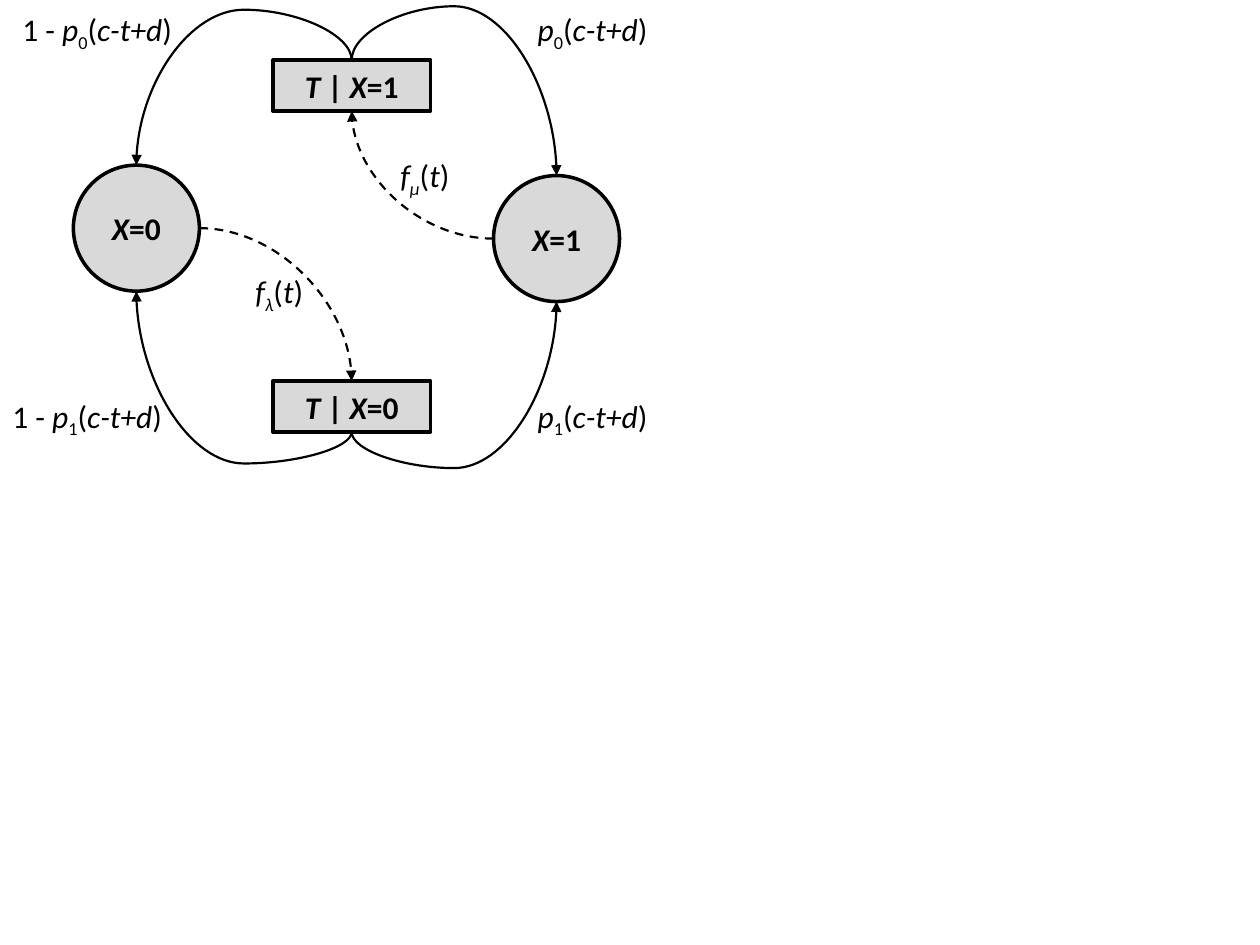
from lxml.etree import SubElement
from pptx import Presentation
from pptx.dml.color import RGBColor
from pptx.enum.dml import MSO_LINE
from pptx.enum.shapes import MSO_CONNECTOR, MSO_SHAPE
from pptx.enum.text import MSO_ANCHOR, PP_ALIGN
from pptx.oxml.ns import qn
from pptx.util import Cm, Pt

BLACK = RGBColor(0x00, 0x00, 0x00)
GREY = RGBColor(0xD9, 0xD9, 0xD9)
TOP, LEFT, BOTTOM, RIGHT = range(4)


def write_formula(tf, runs, bold=None):
    """Write (text, style) runs; in a style, i is italic and s is subscript."""
    for text, style in runs:
        r = tf.paragraphs[0].add_run()
        r.text = text
        r.font.name = "Calibri"
        r.font.size = Pt(18)
        r.font.bold = bold
        r.font.italic = "i" in style
        r.font.color.rgb = BLACK
        if "s" in style:
            r._r.get_or_add_rPr().set("baseline", "-25000")


prs = Presentation()
prs.slide_width, prs.slide_height = Cm(25.4), Cm(19.05)
s = prs.slides.add_slide(prs.slide_layouts[6])

# States (circles) and waiting times (boxes)
X = ("X", "i")
T_GIVEN_X = [("T ", "i"), ("| ", ""), X]
nodes = {}
for name, kind, x, y, w, h, runs in [
    ("X0", MSO_SHAPE.OVAL, 1.48, 3.33, 2.54, 2.54, [X, ("=0", "")]),
    ("X1", MSO_SHAPE.OVAL, 9.95, 3.54, 2.54, 2.54, [X, ("=1", "")]),
    ("T1", MSO_SHAPE.RECTANGLE, 5.5, 1.21, 3.18, 1.03, T_GIVEN_X + [("=1", "")]),
    ("T0", MSO_SHAPE.RECTANGLE, 5.5, 7.68, 3.18, 1.03, T_GIVEN_X + [("=0", "")]),
]:
    sp = s.shapes.add_shape(kind, Cm(x), Cm(y), Cm(w), Cm(h))
    sp.shadow.inherit = False
    sp.fill.solid()
    sp.fill.fore_color.rgb = GREY
    sp.line.color.rgb = BLACK
    sp.line.width = Pt(2)
    tf = sp.text_frame
    tf.vertical_anchor = MSO_ANCHOR.MIDDLE
    tf.paragraphs[0].alignment = PP_ALIGN.CENTER
    write_formula(tf, runs, bold=True)
    nodes[name] = sp

# Transitions: start, side, end, side, rotation, flips, bend (None for a quarter arc)
for start, side1, end, side2, rot, flips, bend in [
    ("X1", LEFT, "T1", BOTTOM, 180, "", None),
    ("X0", RIGHT, "T0", TOP, 0, "", None),
    ("T1", TOP, "X0", TOP, 270, "hv", -47800),
    ("T1", TOP, "X1", TOP, 270, "h", -46500),
    ("T0", BOTTOM, "X1", BOTTOM, 90, "hv", -27700),
    ("T0", BOTTOM, "X0", BOTTOM, 90, "h", -22300),
]:
    c = s.shapes.add_connector(MSO_CONNECTOR.CURVE, 0, 0, 0, 0)
    c.begin_connect(nodes[start], side1)
    c.end_connect(nodes[end], side2)
    # A circle has eight connection sites, so each side counts double
    for tag, node, side in [("a:stCxn", start, side1), ("a:endCxn", end, side2)]:
        if node.startswith("X"):
            next(c._element.iter(qn(tag))).set("idx", str(side * 2))

    # A quarter turn swaps width and height about the same centre
    if rot in (90, 270):
        x, y, w, h = c.left, c.top, c.width, c.height
        c.left, c.top = x + (w - h) // 2, y + (h - w) // 2
        c.width, c.height = h, w
    spPr = c._element.spPr
    xfrm = spPr.find(qn("a:xfrm"))
    xfrm.set("rot", str(rot * 60000))
    xfrm.set("flipH", str(int("h" in flips)))
    xfrm.set("flipV", str(int("v" in flips)))

    geom = spPr.find(qn("a:prstGeom"))
    if bend is None:
        geom.set("prst", "curvedConnector2")
        c.line.dash_style = MSO_LINE.DASH
    else:
        SubElement(geom.find(qn("a:avLst")), qn("a:gd"), name="adj1", fmla=f"val {bend}")
    c.line.color.rgb = BLACK
    c.line.width = Pt(1.25)
    SubElement(c.line._get_or_add_ln(), qn("a:tailEnd"), type="triangle")
    SubElement(spPr, qn("a:effectLst"))

# Labels of the transitions
ARGUMENT = [("(", ""), ("c-t+d", "i"), (")", "")]
OF_T = [("(", ""), ("t", "i"), (")", "")]
P0 = [("p", "i"), ("0", "s")] + ARGUMENT
P1 = [("p", "i"), ("1", "s")] + ARGUMENT
ONE_MINUS = [("1 - ", "")]
for x, y, w, runs in [
    (10.59, 0.08, 2.97, P0),
    (0.2, 0.08, 3.61, ONE_MINUS + P0),
    (10.59, 7.87, 2.97, P1),
    (0, 7.87, 3.71, ONE_MINUS + P1),
    (7.82, 3.02, 2.06, [("f", "i"), ("μ", "is")] + OF_T),
    (4.9, 5.36, 2.06, [("f", "i"), ("λ", "is")] + OF_T),
]:
    tf = s.shapes.add_textbox(Cm(x), Cm(y), Cm(w), Cm(1.03)).text_frame
    tf.word_wrap = True
    write_formula(tf, runs)

prs.save("out.pptx")
